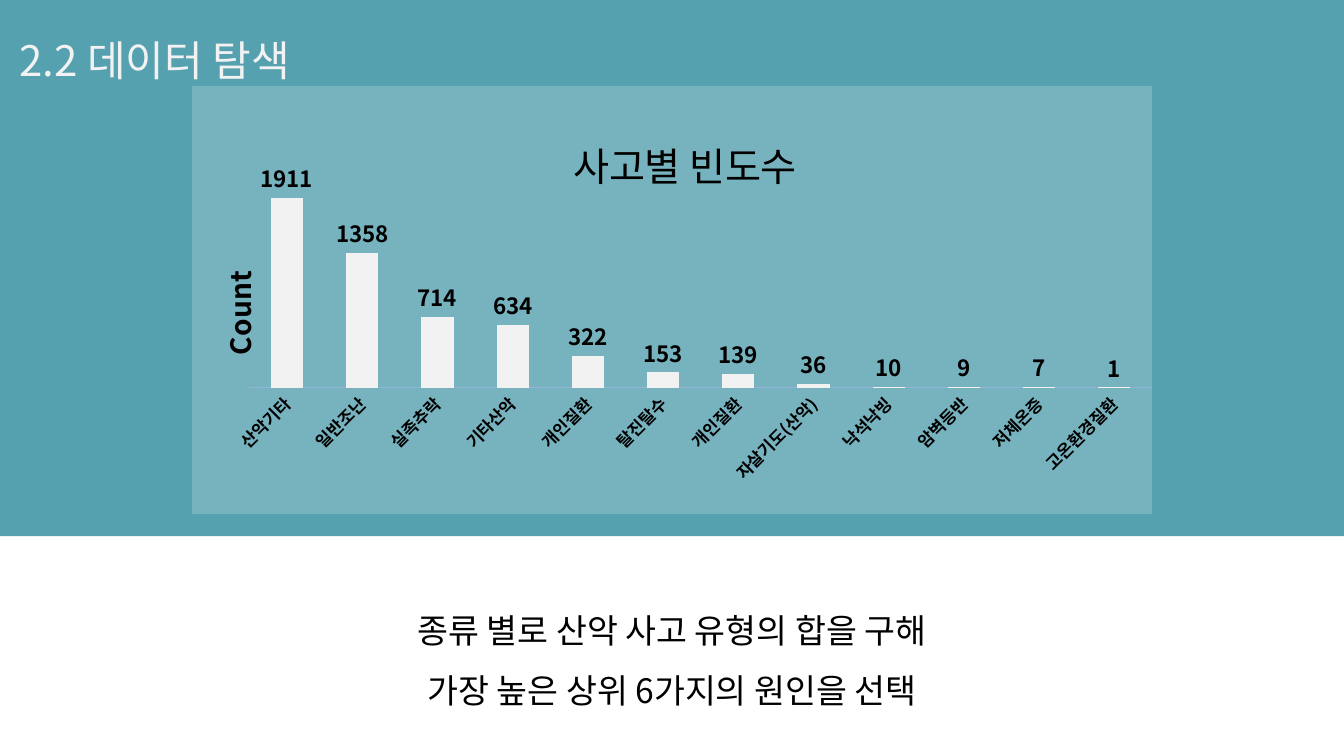
from dataclasses import dataclass

from lxml import etree
from pptx import Presentation
from pptx.chart.data import CategoryChartData
from pptx.dml.color import RGBColor
from pptx.enum import chart as charts, shapes, text
from pptx.oxml import ns, parse_xml
from pptx.util import Pt


@dataclass(frozen=True)
class Theme:
    teal: str = "56A1B0"
    light: str = "F2F2F2"
    white: str = "FFFFFF"
    black: str = "000000"
    axis_line: str = "95B3D7"
    font: str = "Noto Sans CJK KR"
    chart_font: str = "Calibri"
    heading: int = 30
    chart_title: int = 28
    body: int = 24
    axis_title: int = 20
    data_label: int = 16
    category: int = 12
    chart_base: int = 10


THEME = Theme()

ACCIDENTS = [
    ("산악기타", 1911), ("일반조난", 1358), ("실족추락", 714),
    ("기타산악", 634), ("개인질환", 322), ("탈진탈수", 153),
    ("개인질환", 139), ("자살기도(산악)", 36), ("낙석낙빙", 10),
    ("암벽등반", 9), ("저체온증", 7), ("고온환경질환", 1),
]


def style_font(font, size, color=THEME.black, bold=False, name=THEME.font):
    font.name = name
    font.size = Pt(size)
    font.bold = bold
    font.color.rgb = RGBColor.from_string(color)


def add_east_asian_fonts(root):
    """Give Hangul the theme font wherever a Latin font is set."""
    for latin in list(root.iter(ns.qn("a:latin"))):
        east_asian = etree.Element(ns.qn("a:ea"), typeface=THEME.font)
        latin.addnext(east_asian)


def add_band(slide, left, top, width, height, color):
    band = slide.shapes.add_shape(
        shapes.MSO_SHAPE.RECTANGLE, Pt(left), Pt(top), Pt(width), Pt(height))
    band.shadow.inherit = False
    band.fill.solid()
    band.fill.fore_color.rgb = RGBColor.from_string(color)
    band.line.fill.background()


def add_text(slide, box, content, size, color, alignment):
    shape = slide.shapes.add_textbox(*map(Pt, box))
    frame = shape.text_frame
    frame.word_wrap = True
    frame.auto_size = text.MSO_AUTO_SIZE.SHAPE_TO_FIT_TEXT
    frame.text = content
    for paragraph in frame.paragraphs:
        paragraph.alignment = alignment
        paragraph.line_spacing = 1.5
        for run in paragraph.runs:
            style_font(run.font, size, color)


def set_layout(element, x, y, size=None):
    """Place a chart part at fractions of the chart area."""
    for old in element.findall(ns.qn("c:layout")):
        element.remove(old)
    values = [("xMode", "edge"), ("yMode", "edge"), ("x", x), ("y", y)]
    if size:
        values.insert(0, ("layoutTarget", "inner"))
        values += [("w", size[0]), ("h", size[1])]
    layout = etree.Element(ns.qn("c:layout"))
    manual = etree.SubElement(layout, ns.qn("c:manualLayout"))
    for name, value in values:
        etree.SubElement(manual, ns.qn(f"c:{name}"), val=str(value))
    title_text = element.find(ns.qn("c:tx"))
    if title_text is None:
        element.insert(0, layout)
    else:
        title_text.addnext(layout)


def add_title(title, content, size, x, y, bold=False):
    title.text_frame.text = content
    style_font(title.text_frame.paragraphs[0].runs[0].font, size, bold=bold)
    set_layout(title.element if hasattr(title, "element") else title._element, x, y)


def style_axes(chart):
    category_axis = chart.category_axis
    category_axis.major_tick_mark = charts.XL_TICK_MARK.NONE
    category_axis.format.line.color.rgb = RGBColor.from_string(THEME.axis_line)
    category_axis.format.line.width = Pt(0.25)
    style_font(category_axis.tick_labels.font, THEME.category, bold=True)
    body = category_axis._element.find(
        f"{ns.qn('c:txPr')}/{ns.qn('a:bodyPr')}")
    body.set("rot", "-2700000")
    body.set("vert", "horz")

    value_axis = chart.value_axis
    value_axis.visible = False
    value_axis.has_major_gridlines = False
    value_axis.minimum_scale = 0
    value_axis.maximum_scale = 2500
    add_title(value_axis.axis_title, "Count", THEME.axis_title, 0.02, 0.42, True)
    body = value_axis.axis_title.text_frame._txBody.find(ns.qn("a:bodyPr"))
    body.set("rot", "-5400000")
    body.set("vert", "horz")


def style_columns(plot):
    plot.gap_width = 133
    plot.overlap = 4
    plot.vary_by_categories = False
    series = plot.series[0]
    series.format.fill.solid()
    series.format.fill.fore_color.rgb = RGBColor.from_string(THEME.light)
    plot.has_data_labels = True
    labels = plot.data_labels
    labels.show_value = True
    labels.position = charts.XL_LABEL_POSITION.OUTSIDE_END
    style_font(labels.font, THEME.data_label, bold=True)


def add_column_chart(slide, box, accidents):
    data = CategoryChartData()
    data.categories = [name for name, _ in accidents]
    data.add_series("Series 1", [count for _, count in accidents])
    chart = slide.shapes.add_chart(
        charts.XL_CHART_TYPE.COLUMN_CLUSTERED, *map(Pt, box), data).chart
    chart.has_legend = False
    style_font(chart.font, THEME.chart_base, name=THEME.chart_font)
    chart.has_title = True
    add_title(chart.chart_title, "사고별 빈도수", THEME.chart_title, 0.39, 0.09)
    style_axes(chart)
    style_columns(chart.plots[0])

    # Plot position and translucent chart background
    root = chart._chartSpace
    set_layout(root.find(f".//{ns.qn('c:plotArea')}"), 0.06, 0.125, (0.94, 0.58))
    background = parse_xml(
        f'<c:spPr {ns.nsdecls("c", "a")}><a:solidFill>'
        f'<a:srgbClr val="{THEME.white}"><a:alpha val="20000"/></a:srgbClr>'
        '</a:solidFill><a:ln><a:noFill/></a:ln></c:spPr>')
    root.find(ns.qn("c:txPr")).addprevious(background)
    add_east_asian_fonts(root)


def main():
    presentation = Presentation()
    presentation.slide_width = Pt(960)
    presentation.slide_height = Pt(540)
    slide = presentation.slides.add_slide(presentation.slide_layouts[6])

    # Heading band
    add_band(slide, 0, 0, 960, 383, THEME.teal)
    add_text(slide, (7, 3.5, 385, 58), "2.2 데이터 탐색",
             THEME.heading, THEME.light, text.PP_ALIGN.LEFT)

    # Conclusion
    add_text(slide, (182, 417.5, 596, 94),
             "종류 별로 산악 사고 유형의 합을 구해\n가장 높은 상위 6가지의 원인을 선택",
             THEME.body, THEME.black, text.PP_ALIGN.CENTER)
    add_east_asian_fonts(slide.shapes._spTree)

    # Accident counts
    add_column_chart(slide, (137, 61.5, 686, 305.5), ACCIDENTS)

    presentation.save("out.pptx")


if __name__ == "__main__":
    main()
